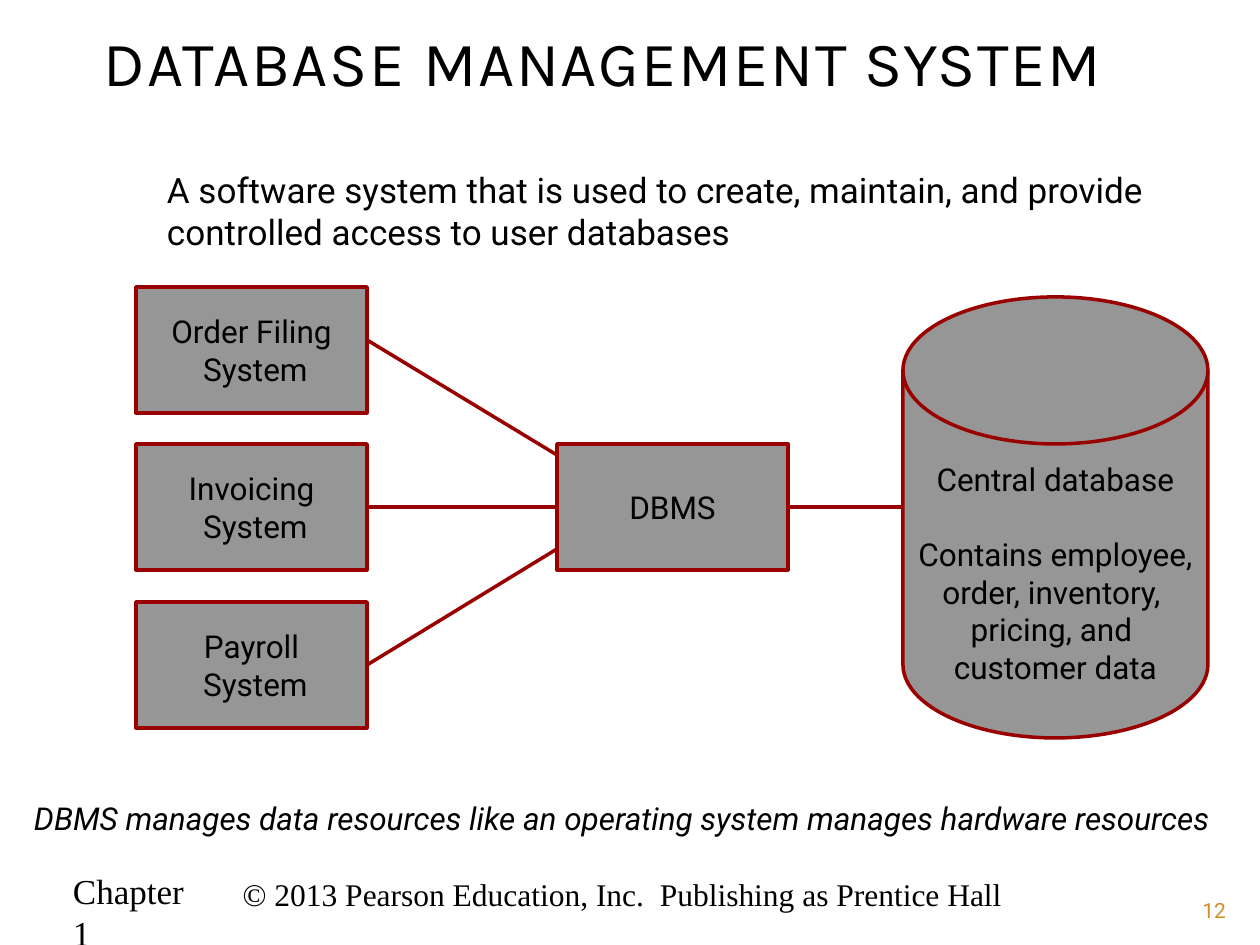
import pptx
import pptx.util
import pptx.dml.color
import pptx.oxml.ns
import lxml.etree
from pptx.enum.shapes import MSO_CONNECTOR, MSO_SHAPE
from pptx.enum.text import MSO_ANCHOR, PP_ALIGN

# Content: text, (left, top, width, height) in px
TITLE = ("DATABASE MANAGEMENT SYSTEM", (98, 21, 1063, 97))
DEFINITION = ("A software system that is used to create, maintain, and provide "
              "controlled access to user databases", (107, 163, 1071, 189))
SUMMARY = ("DBMS manages data resources like an operating system manages "
           "hardware resources", (21, 793, 1231, 88))
CHAPTER = ("Chapter 1", (60, 863, 163, 55))
COPYRIGHT = ("© 2013 Pearson Education, Inc. \u00a0Publishing as Prentice Hall",
             (183, 853, 879, 66))
PAGE = ("12", (1134, 892, 105, 34))
APPLICATIONS = ["Order Filing\n System", "Invoicing\n System", "Payroll\n System"]
DATABASE = ("Central database\nContains employee,\norder, inventory, \n"
            "pricing, and \ncustomer data", (903, 297, 305, 441))


class Theme:
    body, heading, footer = "Roboto", "Karla", "Times New Roman"
    ink, fill, line, accent = "000000", "969696", "990000", "D38E27"
    title_size, large, normal, small = 36, 20, 18, 12
    line_width = 2
    title_tracking = 1


# Layout in px
SCALE = 914400 // 126
BOX_W, BOX_H = 231, 126
APP_LEFT, APP_TOP = 136, 287
DBMS_LEFT = 557
LINE_HEIGHT = 38


def px(value):
    return pptx.util.Emu(value * SCALE)


def color(name):
    return pptx.dml.color.RGBColor.from_string(name)


def write(shape, text, size, font=Theme.body, ink=Theme.ink, align=PP_ALIGN.LEFT,
          anchor=MSO_ANCHOR.TOP, wrap=True, italic=False, inset=(13, 6)):
    frame = shape.text_frame
    frame.text = text
    frame.word_wrap = wrap
    frame.vertical_anchor = anchor
    frame.margin_left = frame.margin_right = px(inset[0])
    frame.margin_top = frame.margin_bottom = px(inset[1])
    for paragraph in frame.paragraphs:
        paragraph.alignment = align
        for run in paragraph.runs:
            run.font.name = font
            run.font.size = pptx.util.Pt(size)
            run.font.italic = italic
            run.font.color.rgb = color(ink)
    return frame


def add_text(slide, item, size, **style):
    text, place = item
    return write(slide.shapes.add_textbox(*map(px, place)), text, size, **style)


def add_node(slide, kind, text, place):
    node = slide.shapes.add_shape(kind, *map(px, place))
    node.shadow.inherit = False
    node.fill.solid()
    node.fill.fore_color.rgb = color(Theme.fill)
    node.line.color.rgb = color(Theme.line)
    node.line.width = pptx.util.Pt(Theme.line_width)
    write(node, text, Theme.normal, align=PP_ALIGN.CENTER,
          anchor=MSO_ANCHOR.MIDDLE, wrap=False)
    return node


def add_link(slide, start, end):
    link = slide.shapes.add_connector(MSO_CONNECTOR.STRAIGHT, *map(px, start + end))
    link.line.color.rgb = color(Theme.line)
    link.line.width = pptx.util.Pt(Theme.line_width)
    lxml.etree.SubElement(link._element.spPr, pptx.oxml.ns.qn("a:effectLst"))
    return link


def main():
    deck = pptx.Presentation()
    deck.slide_width, deck.slide_height = px(1260), px(945)
    slide = deck.slides.add_slide(deck.slide_layouts[6])

    # Footer
    add_text(slide, CHAPTER, Theme.large, font=Theme.footer, wrap=False)
    add_text(slide, COPYRIGHT, Theme.normal, font=Theme.footer,
             align=PP_ALIGN.CENTER, anchor=MSO_ANCHOR.BOTTOM)
    add_text(slide, PAGE, Theme.small, ink=Theme.accent, align=PP_ALIGN.RIGHT)

    # Title, definition and summary
    title = add_text(slide, TITLE, Theme.title_size, font=Theme.heading, inset=(6, 3))
    title.paragraphs[0].runs[0]._r.get_or_add_rPr().set(
        "spc", str(Theme.title_tracking * 100))
    definition = add_text(slide, DEFINITION, Theme.large)
    definition.margin_left = px(60)
    add_text(slide, SUMMARY, Theme.normal, italic=True)

    # Applications, one above the other, with the DBMS beside the middle one
    tops = [APP_TOP + i * BOX_H * 5 // 4 for i in range(len(APPLICATIONS))]
    applications = [add_node(slide, MSO_SHAPE.RECTANGLE, text,
                             (APP_LEFT, top, BOX_W, BOX_H))
                    for text, top in zip(APPLICATIONS, tops)]
    dbms = add_node(slide, MSO_SHAPE.RECTANGLE, "DBMS",
                    (DBMS_LEFT, tops[1], BOX_W, BOX_H))

    # Central database
    database = add_node(slide, MSO_SHAPE.FLOWCHART_MAGNETIC_DISK, *DATABASE)
    database.text_frame.margin_top = px(6 + LINE_HEIGHT)
    database.text_frame.paragraphs[1].space_before = pptx.util.Pt(21)

    # Links
    app_right = APP_LEFT + BOX_W
    middle = tops[1] + BOX_H // 2
    add_link(slide, (app_right, 340), (DBMS_LEFT, 455))
    invoicing_link = add_link(slide, (app_right, middle), (DBMS_LEFT, middle))
    invoicing_link.begin_connect(applications[1], 3)
    invoicing_link.end_connect(dbms, 1)
    payroll_link = add_link(slide, (app_right, tops[2] + BOX_H // 2), (DBMS_LEFT, 549))
    payroll_link.begin_connect(applications[2], 3)
    database_link = add_link(slide, (DBMS_LEFT + BOX_W, middle), (DATABASE[1][0], middle))
    database_link.begin_connect(dbms, 3)

    deck.save("out.pptx")


if __name__ == "__main__":
    main()
